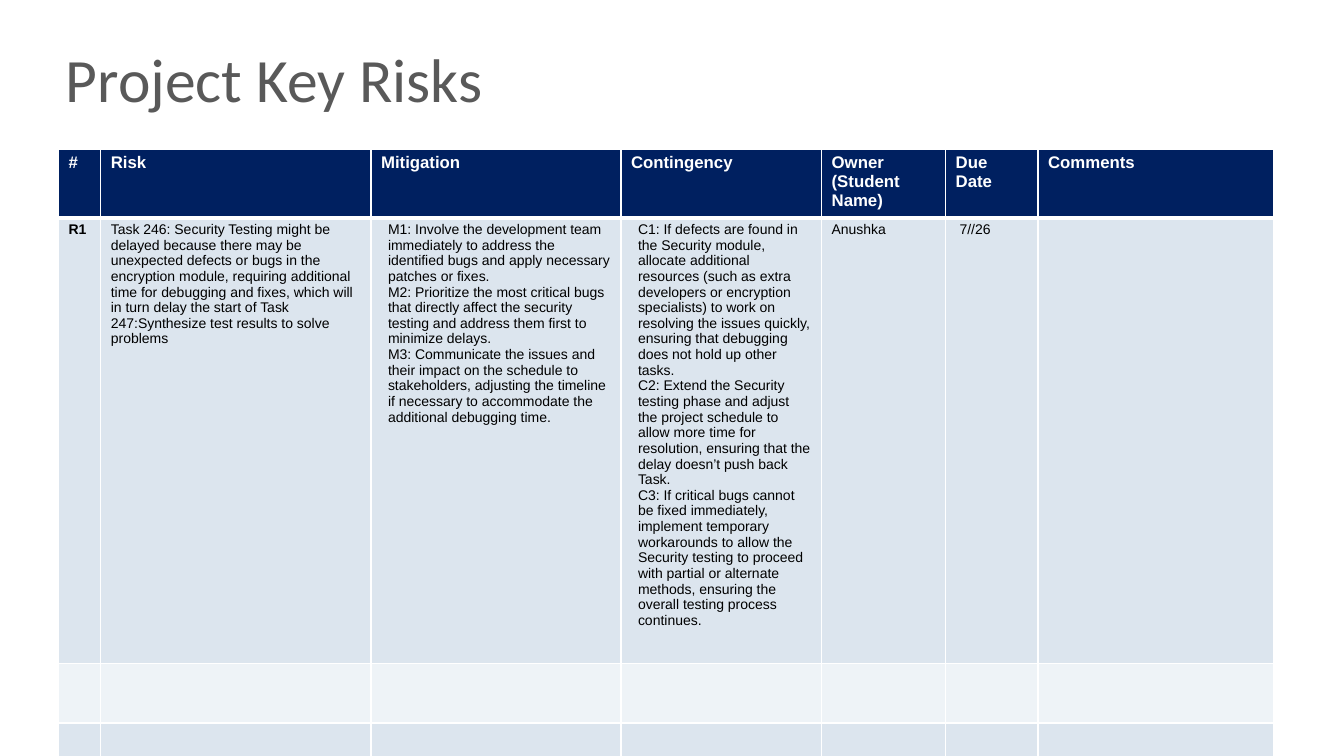
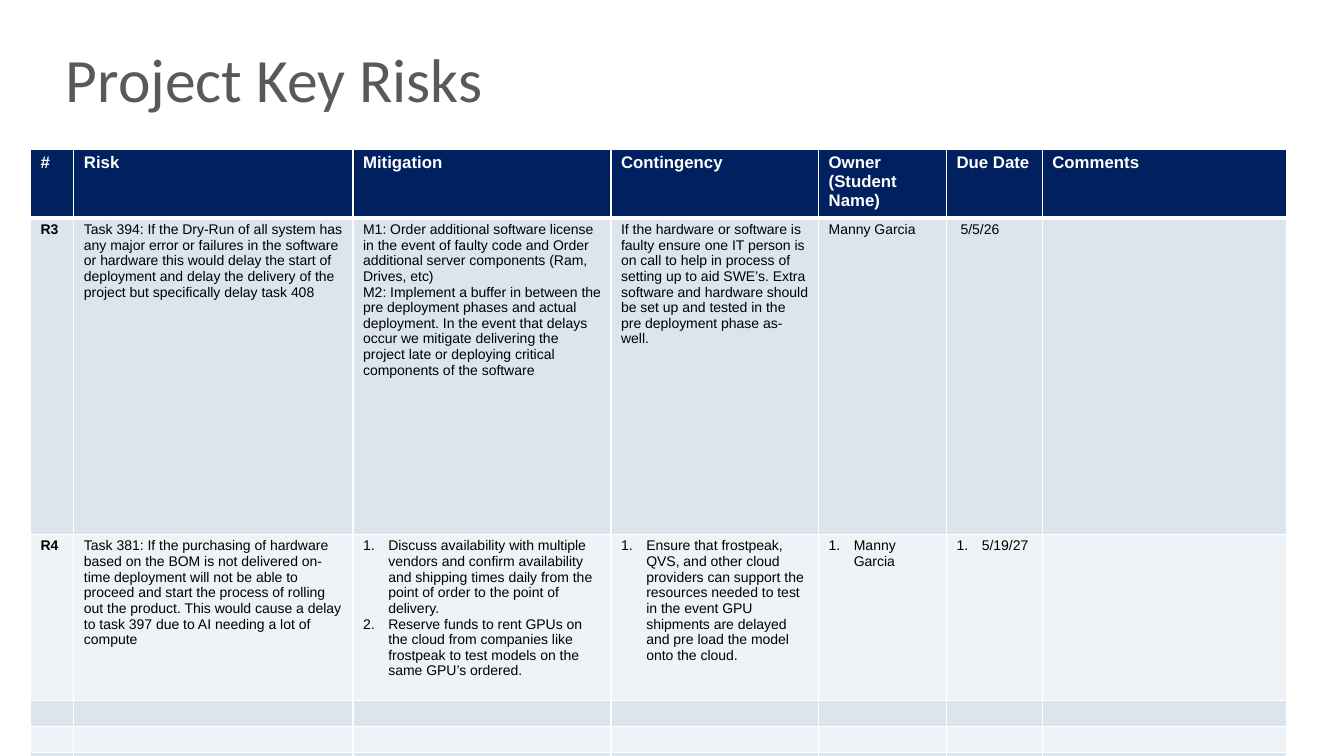
"""Build two project risk register slides."""
import dataclasses

import lxml.etree
import pptx
import pptx.dml.color
import pptx.enum.text
import pptx.oxml.ns
import pptx.util


@dataclasses.dataclass(frozen=True)
class Theme:
    title_font: str = "Calibri"
    body_font: str = "Arial"
    title_size: int = 44
    header_size: int = 12
    body_size: int = 10
    title_color: str = "595959"
    header_fill: str = "002060"
    row_fills: tuple = ("DCE5EE", "EEF3F7")
    white: str = "FFFFFF"
    black: str = "000000"
    list_indent: int = 18
    margin_x: float = 7.2
    margin_y: float = 2.9
    thin_line: int = 1
    thick_line: int = 3


theme = Theme()
Pt = pptx.util.Pt
RGBColor = pptx.dml.color.RGBColor
qn = pptx.oxml.ns.qn


def write_text(frame, lines, *, font, size, color, bold=False, spacing=None, indent=0, numbered=False):
    """Write each line as a paragraph with one shared format."""
    for position, line in enumerate(lines):
        paragraph = frame.paragraphs[0] if position == 0 else frame.add_paragraph()
        if spacing:
            paragraph.line_spacing = spacing
        if indent:
            properties = paragraph._p.get_or_add_pPr()
            properties.set("marL", str(Pt(indent)))
            properties.set("indent", str(-Pt(indent) if numbered else 0))
            if numbered:
                lxml.etree.SubElement(properties, qn("a:buFont"), typeface=font)
                lxml.etree.SubElement(properties, qn("a:buAutoNum"), type="arabicPeriod")
        if not line:
            lxml.etree.SubElement(paragraph._p, qn("a:endParaRPr"), sz=str(size * 100))
            continue
        run = paragraph.add_run()
        run.text = line
        run.font.name = font
        run.font.size = Pt(size)
        run.font.bold = bold
        run.font.color.rgb = RGBColor.from_string(color)


def draw_borders(cell, widths):
    """Draw white cell borders with a width for each side."""
    properties = cell._tc.get_or_add_tcPr()
    for side, width in widths.items():
        line = lxml.etree.SubElement(properties, qn(f"a:ln{side}"), w=str(Pt(width)))
        fill = lxml.etree.SubElement(line, qn("a:solidFill"))
        lxml.etree.SubElement(fill, qn("a:srgbClr"), val=theme.white)


headers = [["#"], ["Risk"], ["Mitigation"], ["Contingency"], ["Owner", "(Student Name)"], ["Due Date"], ["Comments"]]
empty_row = {"cells": [[""]] * len(headers), "indents": [0] * len(headers)}

registers = [
    {
        "left": 41.8,
        "columns": [30.2, 193, 178.6, 143.3, 88.6, 66, 168.5],
        "heights": [47.2, 308.5] + [42.5] * 7,
        "risks": [
            {
                "indents": [0, 0, 5, 5, 0, 2.8, 0],
                "cells": [
                    ["R1"],
                    ["Task 246: Security Testing might be delayed because there may be unexpected defects or bugs in the encryption module, requiring additional time for debugging and fixes, which will in turn delay the start of Task 247:Synthesize test results to solve problems"],
                    [
                        "M1: Involve the development team immediately to address the identified bugs and apply necessary patches or fixes.",
                        "M2: Prioritize the most critical bugs that directly affect the security testing and address them first to minimize delays.",
                        "M3: Communicate the issues and their impact on the schedule to stakeholders, adjusting the timeline if necessary to accommodate the additional debugging time.",
                    ],
                    [
                        "C1: If defects are found in the Security module, allocate additional resources (such as extra developers or encryption specialists) to work on resolving the issues quickly, ensuring that debugging does not hold up other tasks.",
                        "C2: Extend the Security testing phase and adjust the project schedule to allow more time for resolution, ensuring that the delay doesn’t push back Task.",
                        "C3: If critical bugs cannot be fixed immediately, implement temporary workarounds to allow the Security testing to proceed with partial or alternate methods, ensuring the overall testing process continues.",
                    ],
                    ["Anushka"],
                    ["7//26"],
                    [""],
                ],
            },
        ],
    },
    {
        "left": 21.8,
        "columns": [31, 199.4, 184.3, 148.3, 91.4, 68.4, 174.2],
        "heights": [47.2, 226, 118.6] + [18.6] * 6,
        "risks": [
            {
                "indents": [0, 0, 0, 0, 0, 2.8, 0],
                "cells": [
                    ["R3"],
                    ["Task 394: If the Dry-Run of all system has any major error or failures in the software or hardware this would delay the start of deployment and delay the delivery of the project but specifically delay task 408"],
                    [
                        "M1: Order additional software license in the event of faulty code and Order additional server components (Ram, Drives, etc)",
                        "M2: Implement a buffer in between the pre deployment phases and actual deployment. In the event that delays occur we mitigate delivering the project late or deploying critical components of the software",
                    ],
                    ["If the hardware or software is faulty ensure one IT person is on call to help in process of setting up to aid SWE’s. Extra software and hardware should be set up and tested in the pre deployment phase as-well."],
                    ["Manny Garcia"],
                    ["5/5/26"],
                    [""],
                ],
            },
            {
                "indents": [0, 0] + [theme.list_indent] * 4 + [0],
                "cells": [
                    ["R4"],
                    ["Task 381: If the purchasing of hardware based on the BOM is not delivered on-time deployment will not be able to proceed and start the process of rolling out the product. This would cause a delay to task 397 due to AI needing a lot of compute"],
                    [
                        "Discuss availability with multiple vendors and confirm availability and shipping times daily from the point of order to the point of delivery.",
                        "Reserve funds to rent GPUs on the cloud from companies like frostpeak to test models on the same GPU’s ordered.",
                    ],
                    ["Ensure that frostpeak, QVS, and other cloud providers can support the resources needed to test in the event GPU shipments are delayed and pre load the model onto the cloud."],
                    ["Manny Garcia"],
                    ["5/19/27"],
                    [""],
                ],
            },
        ],
    },
]

presentation = pptx.Presentation()
presentation.slide_width = Pt(960)
presentation.slide_height = Pt(540)

for register in registers:
    slide = presentation.slides.add_slide(presentation.slide_layouts[6])

    title = slide.shapes.add_textbox(Pt(41), Pt(18.7), Pt(787), Pt(85.7))
    frame = title.text_frame
    frame.word_wrap = True
    frame.vertical_anchor = pptx.enum.text.MSO_ANCHOR.MIDDLE
    frame.margin_left = frame.margin_right = Pt(6)
    frame.margin_top = frame.margin_bottom = 0
    write_text(frame, ["Project Key Risks"], font=theme.title_font, size=theme.title_size,
               color=theme.title_color, spacing=0.75)

    columns, heights = register["columns"], register["heights"]
    table = slide.shapes.add_table(len(heights), len(columns), Pt(register["left"]), Pt(106.6),
                                   Pt(sum(columns)), Pt(sum(heights))).table
    for column, width in zip(table.columns, columns):
        column.width = Pt(width)
    for row, height in zip(table.rows, heights):
        row.height = Pt(height)

    rows = [{"cells": headers, "indents": empty_row["indents"]}] + register["risks"]
    rows += [empty_row] * (len(heights) - len(rows))
    for row_index, row in enumerate(rows):
        is_header = row_index == 0
        top_width = theme.thick_line if row_index == 1 else theme.thin_line
        bottom_width = theme.thick_line if is_header else theme.thin_line
        row_fill = theme.header_fill if is_header else theme.row_fills[(row_index - 1) % 2]
        for column_index, (lines, indent) in enumerate(zip(row["cells"], row["indents"])):
            cell = table.cell(row_index, column_index)
            cell.margin_left = cell.margin_right = Pt(theme.margin_x)
            cell.margin_top = cell.margin_bottom = Pt(theme.margin_y)
            draw_borders(cell, {"L": theme.thin_line, "R": theme.thin_line, "T": top_width, "B": bottom_width})
            cell.fill.solid()
            cell.fill.fore_color.rgb = RGBColor.from_string(row_fill)
            write_text(cell.text_frame, lines, font=theme.body_font,
                       size=theme.header_size if is_header else theme.body_size,
                       color=theme.white if is_header else theme.black,
                       bold=is_header or column_index == 0,
                       indent=indent, numbered=indent == theme.list_indent)

presentation.save("out.pptx")
